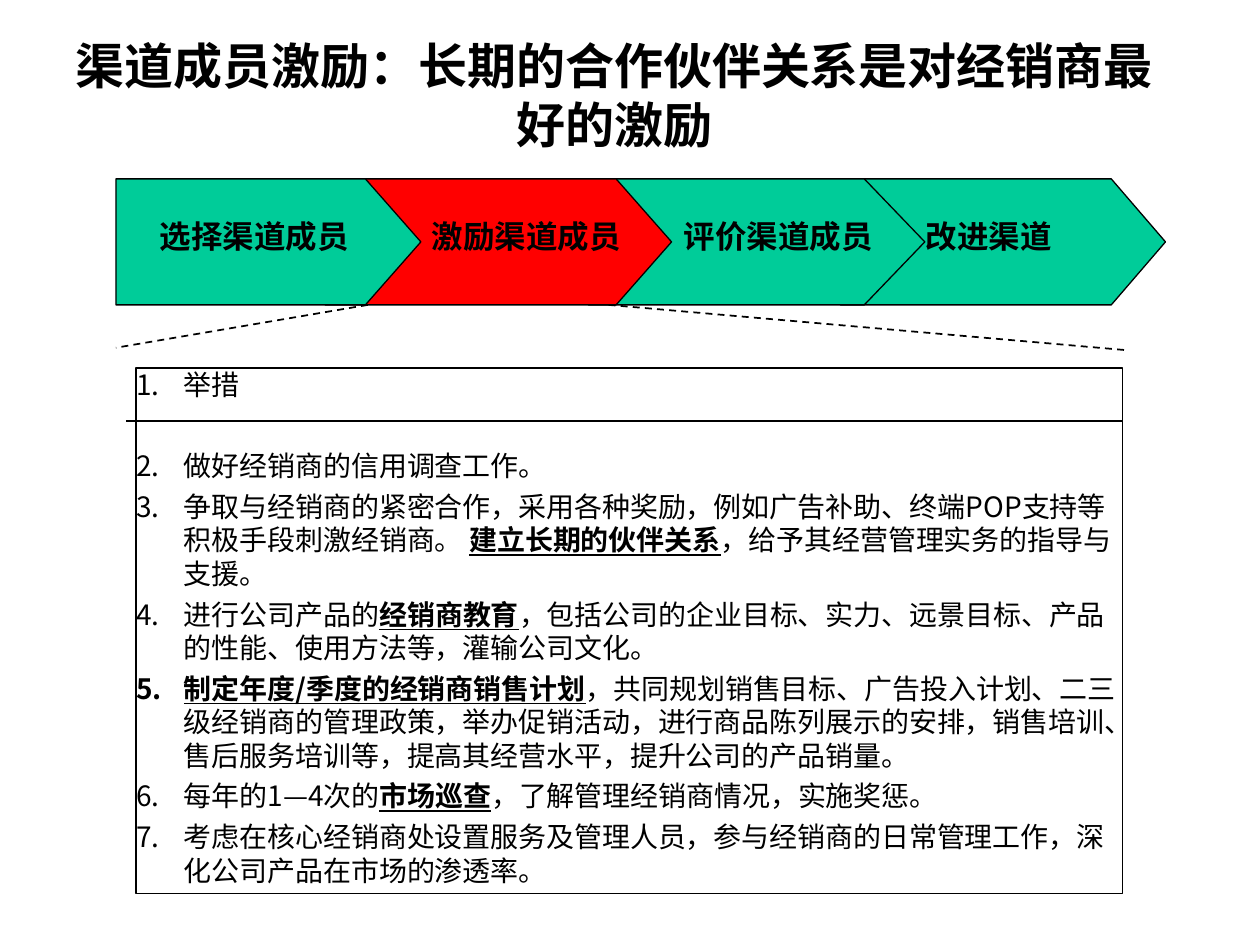
from lxml import etree
from pptx import Presentation
from pptx.dml.color import RGBColor
from pptx.enum.dml import MSO_LINE_DASH_STYLE as DASH
from pptx.enum.shapes import MSO_CONNECTOR, MSO_SHAPE
from pptx.enum.text import MSO_ANCHOR, PP_ALIGN
from pptx.oxml.ns import qn
from pptx.util import Inches, Pt

BLACK, GREEN, RED = "000000", "00CC99", "FF0000"
HEAD_FONT, BODY_FONT = "Times New Roman", "Noto Sans CJK SC"

TITLE = "渠道成员激励：长期的合作伙伴关系是对经销商最好的激励"
# label, label left, arrow left, arrow width, tip length, fill
STEPS = [
    ("选择渠道成员", 1.17, 0.92, 2.42, 0.44, GREEN),
    ("激励渠道成员", 3.33, 2.58, 2.75, 0.44, RED),
    ("评价渠道成员", 5.33, 4.67, 2.67, 0.48, GREEN),
    ("改进渠道", 7.25, 6.67, 2.58, 0.43, GREEN),
]
# Each measure is plain text, emphasised text, plain text
MEASURES = [
    ("举措", "", ""),
    ("做好经销商的信用调查工作。", "", ""),
    ("争取与经销商的紧密合作，采用各种奖励，例如广告补助、终端POP支持等积极手段刺激经销商。 ",
     "建立长期的伙伴关系", "，给予其经营管理实务的指导与支援。"),
    ("进行公司产品的", "经销商教育",
     "，包括公司的企业目标、实力、远景目标、产品的性能、使用方法等，灌输公司文化。"),
    ("", "制定年度/季度的经销商销售计划",
     "，共同规划销售目标、广告投入计划、二三级经销商的管理政策，举办促销活动，"
     "进行商品陈列展示的安排，销售培训、售后服务培训等，提高其经营水平，提升公司的产品销量。"),
    ("每年的1—4次的", "市场巡查", "，了解管理经销商情况，实施奖惩。"),
    ("考虑在核心经销商处设置服务及管理人员，参与经销商的日常管理工作，"
     "深化公司产品在市场的渗透率。", "", ""),
]


def rgb(value):
    return RGBColor.from_string(value)


def set_font(paragraph, name, size, bold=None):
    font = paragraph.font
    font.name, font.size, font.bold = name, Pt(size), bold
    font.color.rgb = rgb(BLACK)


def add_line(slide, start, end, dashed=False):
    line = slide.shapes.add_connector(
        MSO_CONNECTOR.STRAIGHT, *map(Inches, start + end))
    line.line.color.rgb = rgb(BLACK)
    line.line.width = Pt(1)
    if dashed:
        line.line.dash_style = DASH.DASH
    etree.SubElement(line._element.spPr, qn("a:effectLst"))


def number(paragraph):
    """Give the paragraph a hanging automatic number."""
    props = paragraph._p.get_or_add_pPr()
    props.set("marL", str(Inches(0.38)))
    props.set("indent", str(-Inches(0.38)))
    colour = etree.SubElement(props, qn("a:buClr"))
    etree.SubElement(colour, qn("a:srgbClr"), val=BLACK)
    etree.SubElement(props, qn("a:buAutoNum"), type="arabicPeriod")


def place_title(slide, left, top, width, height):
    title = slide.shapes.title
    title.left, title.top = Inches(left), Inches(top)
    title.width, title.height = Inches(width), Inches(height)
    frame = title.text_frame
    frame.text = TITLE
    frame.vertical_anchor = MSO_ANCHOR.MIDDLE
    paragraph = frame.paragraphs[0]
    paragraph.alignment = PP_ALIGN.CENTER
    set_font(paragraph, HEAD_FONT, 28, True)


def add_process(slide, top, height):
    """Overlap the arrows from right to left, then label them."""
    for _, _, left, width, tip, fill in reversed(STEPS):
        arrow = slide.shapes.add_shape(
            MSO_SHAPE.PENTAGON, Inches(left), Inches(top), Inches(width), Inches(height))
        arrow.adjustments[0] = tip / height
        arrow.shadow.inherit = False
        arrow.fill.solid()
        arrow.fill.fore_color.rgb = rgb(fill)
        arrow.line.color.rgb = rgb(BLACK)
        arrow.line.width = Pt(0.75)
    for text, left, *_ in STEPS:
        label = slide.shapes.add_textbox(
            Inches(left), Inches(top + 0.25), Inches(1.75), Inches(0.4))
        label.text_frame.word_wrap = True
        label.text_frame.text = text
        set_font(label.text_frame.paragraphs[0], HEAD_FONT, 18, True)


def add_measures(slide, left, top, width, height):
    panel = slide.shapes.add_shape(
        MSO_SHAPE.RECTANGLE, Inches(left), Inches(top), Inches(width), Inches(height))
    panel.shadow.inherit = False
    panel.fill.background()
    panel.line.color.rgb = rgb(BLACK)
    panel.line.width = Pt(0.75)
    frame = panel.text_frame
    frame.word_wrap = True
    frame.vertical_anchor = MSO_ANCHOR.TOP
    frame.margin_left = frame.margin_right = frame.margin_top = frame.margin_bottom = 0
    for index, parts in enumerate(MEASURES):
        paragraph = frame.add_paragraph() if index else frame.paragraphs[0]
        number(paragraph)
        paragraph.alignment = PP_ALIGN.LEFT
        if index:
            paragraph.space_before = Pt(27 if index == 1 else 4)
        set_font(paragraph, BODY_FONT, 16)
        for part, text in enumerate(parts):
            if text:
                run = paragraph.add_run()
                run.text = text
                if part == 1:
                    run.font.bold = run.font.underline = True
    rule = top + 0.42
    add_line(slide, (left - 0.08, rule), (left + width, rule))


def main():
    deck = Presentation()
    deck.slide_width, deck.slide_height = Inches(10), Inches(7.5)
    slide = deck.slides.add_slide(deck.slide_layouts[5])
    place_title(slide, 0.5, 0.25, 8.75, 1)
    add_process(slide, 1.42, 1)
    add_line(slide, (4.83, 2.42), (8.95, 2.78), dashed=True)
    add_line(slide, (2.92, 2.42), (0.92, 2.76), dashed=True)
    add_measures(slide, 1.08, 2.92, 7.83, 4.17)
    deck.save("out.pptx")


if __name__ == "__main__":
    main()
